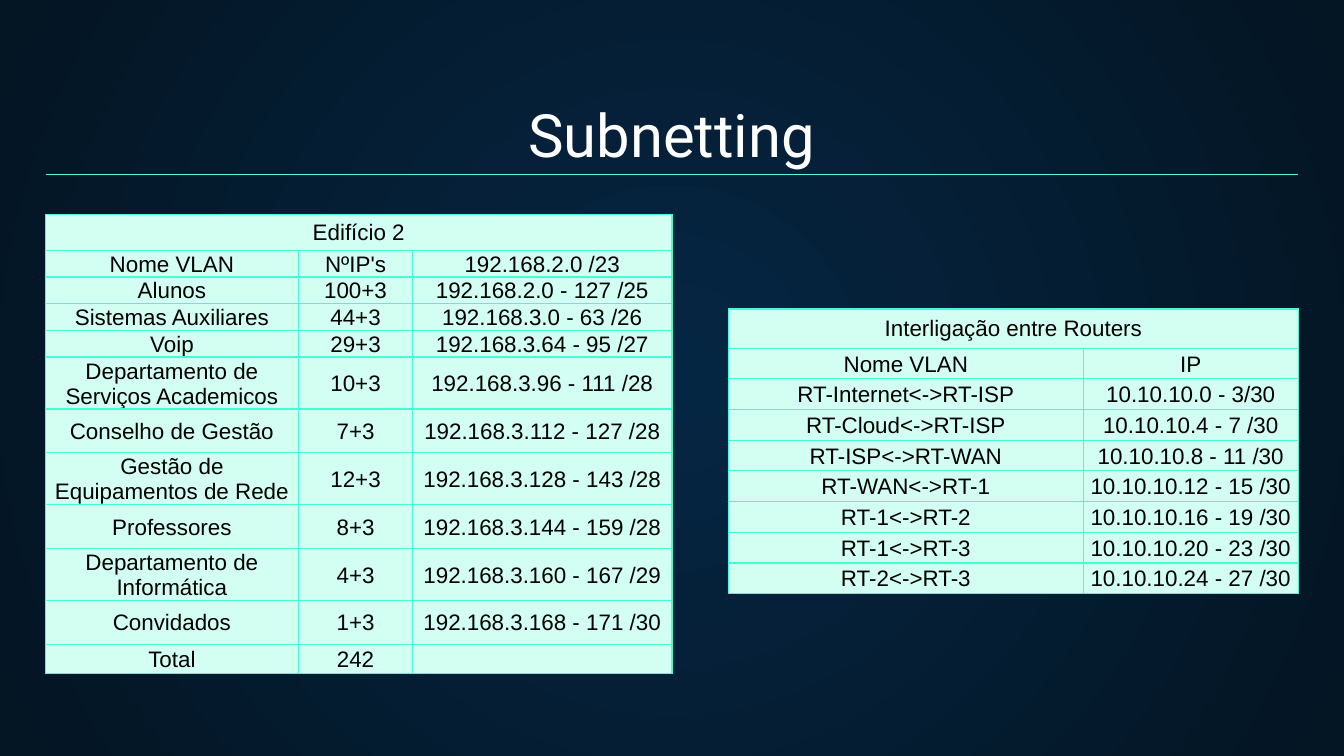
from lxml import etree
from pptx import Presentation
from pptx import util as u
from pptx.dml.color import RGBColor
from pptx.enum import shapes, text
from pptx.oxml.ns import qn

COLORS = {
    "centre": "052643", "edge": "041523", "title": "FFFFFF", "rule": "48FFD5",
    "border": "42FED3", "cell": "D2FFF1", "text": "000000",
}
SINGLE, MEDIUM, DOUBLE = 0.5, 0.83, 0.96

BUILDING = [
    ("Nome VLAN", "NºIP's", "192.168.2.0 /23"),
    ("Alunos", "100+3", "192.168.2.0 - 127 /25"),
    ("Sistemas Auxiliares", "44+3", "192.168.3.0 - 63 /26"),
    ("Voip", "29+3", "192.168.3.64 - 95 /27"),
    ("Departamento de Serviços Academicos", "10+3", "192.168.3.96 - 111 /28"),
    ("Conselho de Gestão", "7+3", "192.168.3.112 - 127 /28"),
    ("Gestão de Equipamentos de Rede", "12+3", "192.168.3.128 - 143 /28"),
    ("Professores", "8+3", "192.168.3.144 - 159 /28"),
    ("Departamento de Informática", "4+3", "192.168.3.160 - 167 /29"),
    ("Convidados", "1+3", "192.168.3.168 - 171 /30"),
    ("Total", "242", ""),
]
BUILDING_HEIGHTS = [0.68] + [SINGLE] * 4 + [DOUBLE, MEDIUM] * 3 + [SINGLE]

ROUTERS = [
    ("Nome VLAN", "IP"),
    ("RT-Internet<->RT-ISP", "10.10.10.0 - 3/30"),
    ("RT-Cloud<->RT-ISP", "10.10.10.4 - 7 /30"),
    ("RT-ISP<->RT-WAN", "10.10.10.8 - 11 /30"),
    ("RT-WAN<->RT-1", "10.10.10.12 - 15 /30"),
    ("RT-1<->RT-2", "10.10.10.16 - 19 /30"),
    ("RT-1<->RT-3", "10.10.10.20 - 23 /30"),
    ("RT-2<->RT-3", "10.10.10.24 - 27 /30"),
]
ROUTER_HEIGHTS = [0.74] + [0.58] * len(ROUTERS)


def color(name):
    return RGBColor.from_string(COLORS[name])


def paint_background(s):
    fill = s.background.fill
    fill.gradient()
    for stop, name in zip(fill.gradient_stops, ("centre", "edge")):
        stop.color.rgb = color(name)
        stop.position = 0 if name == "centre" else 1
    grad = s.background._cSld.find(".//" + qn("a:gradFill"))
    grad.remove(grad.find(qn("a:lin")))
    path = etree.Element(qn("a:path"), path="circle")
    etree.SubElement(path, qn("a:fillToRect"), l="50000", t="50000", r="50000", b="50000")
    grad.find(qn("a:gsLst")).addnext(path)


def add_heading(s, left, top, width, height):
    """Place the title and the rule that runs just above its lower edge."""
    sp = s.shapes.title
    sp.left, sp.top, sp.width, sp.height = map(u.Cm, (left, top, width, height))
    tf = sp.text_frame
    tf.text = "Subnetting"
    tf.auto_size = text.MSO_AUTO_SIZE.NONE
    tf.vertical_anchor = text.MSO_ANCHOR.BOTTOM
    tf.margin_left = tf.margin_right = tf.margin_top = tf.margin_bottom = u.Cm(0.25)
    p = tf.paragraphs[0]
    p.alignment = text.PP_ALIGN.CENTER
    font = p.runs[0].font
    font.name, font.size, font.color.rgb = "Roboto", u.Pt(32), color("title")

    y = u.Cm(top + height - 0.16)
    rule = s.shapes.add_connector(
        shapes.MSO_CONNECTOR.STRAIGHT, u.Cm(left), y, u.Cm(left + width), y)
    rule.line.color.rgb = color("rule")
    rule.line.width = u.Pt(0.75)
    etree.SubElement(rule._element.spPr, qn("a:effectLst"))


def format_cell(cell, margins):
    tc_pr = cell._tc.get_or_add_tcPr()
    for side in ("lnL", "lnR", "lnT", "lnB"):
        ln = etree.SubElement(tc_pr, qn("a:" + side), w=str(u.Pt(0.75)))
        solid = etree.SubElement(ln, qn("a:solidFill"))
        etree.SubElement(solid, qn("a:srgbClr"), val=COLORS["border"])
    cell.fill.solid()
    cell.fill.fore_color.rgb = color("cell")
    cell.vertical_anchor = text.MSO_ANCHOR.MIDDLE
    cell.margin_left, cell.margin_top, cell.margin_right, cell.margin_bottom = map(u.Cm, margins)
    p = cell.text_frame.paragraphs[0]
    p.alignment = text.PP_ALIGN.CENTER
    for r in p.runs:
        r.font.name, r.font.size, r.font.bold = "Arial", u.Pt(12), False
        r.font.color.rgb = color("text")
    if not p.runs:  # keeps an empty cell from stretching its row
        etree.SubElement(p._p, qn("a:endParaRPr"), sz="1200")


def add_subnet_table(s, left, top, caption, rows, widths, heights):
    """Place a table with a caption row merged across all its columns."""
    frame = s.shapes.add_table(
        len(heights), len(widths),
        *map(u.Cm, (left, top, sum(widths), sum(heights))))
    table = frame.table
    table.first_row = table.horz_banding = False
    for column, width in zip(table.columns, widths):
        column.width = u.Cm(width)
    for row, height in zip(table.rows, heights):
        row.height = u.Cm(height)

    table.cell(0, 0).merge(table.cell(0, len(widths) - 1))
    table.cell(0, 0).text = caption
    for i, values in enumerate(rows, 1):
        for j, value in enumerate(values):
            table.cell(i, j).text = value
    for i, row in enumerate(table.rows):
        margins = (0.03, 0.03, 0.03, 0) if i else (0.23, 0.1, 0.23, 0.1)
        for cell in row.cells:
            format_cell(cell, margins)


def main():
    prs = Presentation()
    prs.slide_width, prs.slide_height = u.Cm(25.4), u.Cm(14.29)
    s = prs.slides.add_slide(prs.slide_layouts[5])
    paint_background(s)
    add_heading(s, 0.86, 1.78, 23.67, 1.68)
    add_subnet_table(s, 0.86, 4.05, "Edifício 2", BUILDING,
                     (4.78, 2.16, 4.9), BUILDING_HEIGHTS)
    add_subnet_table(s, 13.77, 5.84, "Interligação entre Routers", ROUTERS,
                     (6.7, 4.07), ROUTER_HEIGHTS)
    prs.save("out.pptx")


if __name__ == "__main__":
    main()
